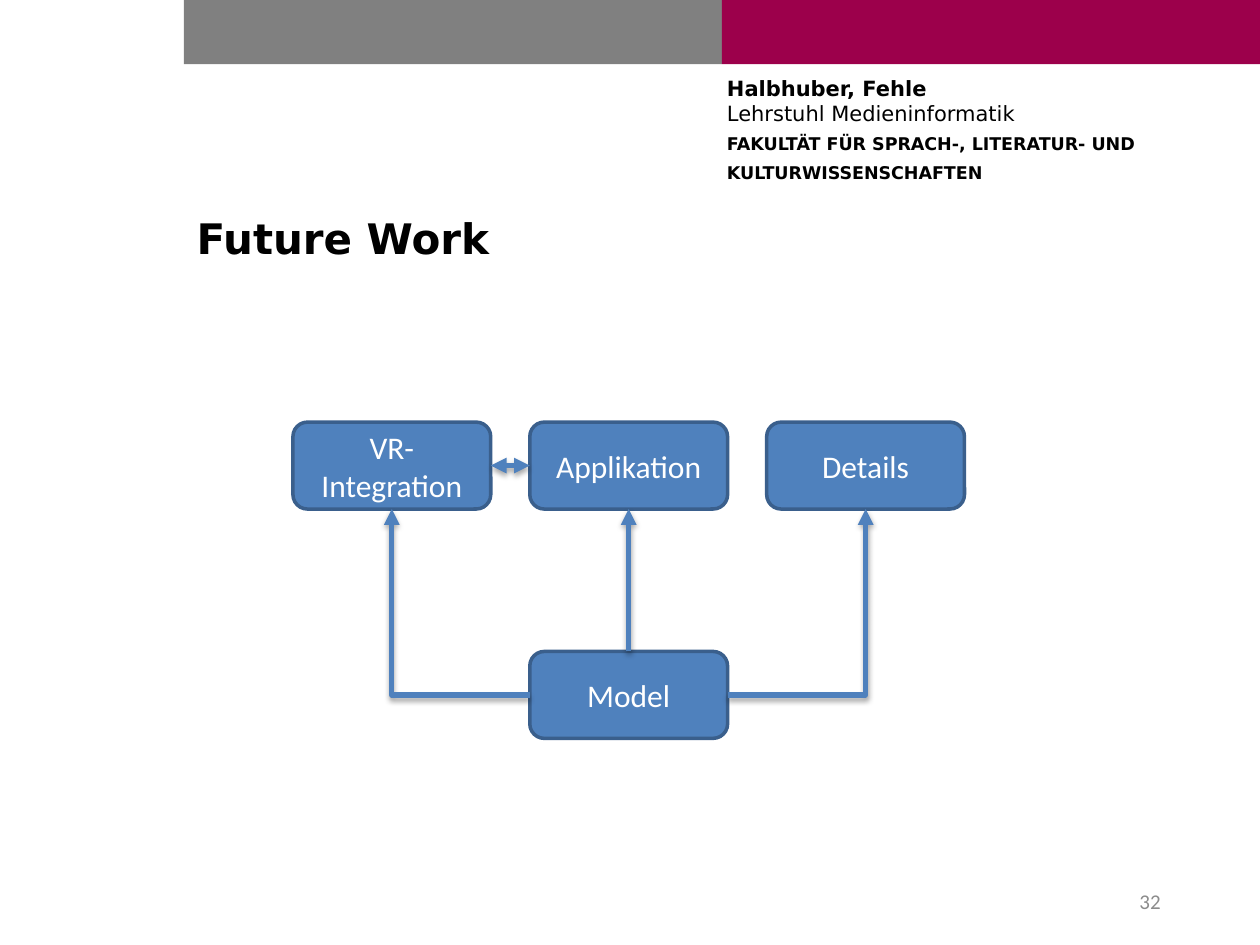
from dataclasses import dataclass

from lxml.etree import SubElement
from pptx import Presentation
from pptx.dml.color import RGBColor
from pptx.enum.shapes import MSO_CONNECTOR as Link, MSO_SHAPE as Shape
from pptx.enum.text import MSO_ANCHOR as Anchor, PP_ALIGN as Align
from pptx.oxml import parse_xml
from pptx.oxml.ns import nsdecls, qn
from pptx.util import Inches, Pt

COLUMNS, ROWS = 100, 75
TOP, LEFT, BOTTOM, RIGHT = range(4)  # connection sites of a box

SHADOW = f"""<a:effectLst {nsdecls('a')}>
<a:outerShdw blurRad="40000" dist="23000" dir="5400000" rotWithShape="0">
<a:srgbClr val="000000"><a:alpha val="35000"/></a:srgbClr>
</a:outerShdw></a:effectLst>"""


@dataclass(frozen=True)
class Theme:
    gray: str = "808080"
    crimson: str = "9C004B"
    blue: str = "4F81BD"
    outline: str = "3A5F8C"
    black: str = "000000"
    white: str = "FFFFFF"
    muted: str = "8C8C8C"
    heading_font: str = "DejaVu Sans"
    body_font: str = "Calibri"
    title_size: int = 24
    node_size: int = 18
    text_size: int = 12
    small_size: int = 10
    outline_width: int = 2
    arrow_width: int = 3


class SlideBuilder:
    """Draws on one page; lengths are columns and rows of the slide grid."""

    def __init__(self, theme):
        self.theme = theme
        self.deck = Presentation()
        self.deck.slide_width, self.deck.slide_height = Inches(10), Inches(7.5)
        self.page = self.deck.slides.add_slide(self.deck.slide_layouts[5])

    def place(self, left, top, width, height):
        column = self.deck.slide_width / COLUMNS
        row = self.deck.slide_height / ROWS
        return [round(length * unit) for length, unit in
                zip((left, top, width, height), (column, row) * 2)]

    def add_span(self, para, text, **style):
        span = para.add_run()
        span.text = text
        color = style.pop("color")
        style["size"] = Pt(style["size"])
        for name, value in style.items():
            setattr(span.font, name, value)
        span.font.color.rgb = RGBColor.from_string(color)

    def format_frame(self, frame, **values):
        for name, value in {"word_wrap": True, **values}.items():
            setattr(frame, name, value)

    def title(self, text, area):
        box = self.page.shapes.title
        box.left, box.top, box.width, box.height = self.place(*area)
        self.format_frame(box.text_frame, vertical_anchor=Anchor.TOP)
        para = box.text_frame.paragraphs[0]
        para.alignment = Align.LEFT
        self.add_span(para, text, name=self.theme.heading_font, bold=True,
                      size=self.theme.title_size, color=self.theme.black)

    def shape(self, kind, area, color):
        box = self.page.shapes.add_shape(kind, *self.place(*area))
        box.shadow.inherit = False
        box.fill.solid()
        box.fill.fore_color.rgb = RGBColor.from_string(color)
        box.line.fill.background()
        return box

    def sender(self, person, chair, faculty_lines, area):
        frame = self.page.shapes.add_textbox(*self.place(*area)).text_frame
        self.format_frame(frame, margin_left=0, margin_top=0,
                          margin_right=0, margin_bottom=0)
        style = {"name": self.theme.heading_font, "color": self.theme.black}
        para = frame.paragraphs[0]
        para.space_after = Pt(3)
        self.add_span(para, person, bold=True, size=self.theme.text_size, **style)
        para.add_line_break()
        self.add_span(para, chair, bold=False, size=self.theme.text_size, **style)
        for line in faculty_lines:
            para = frame.add_paragraph()
            para.space_after, para.line_spacing = Pt(3), 1.1
            self.add_span(para, line, bold=True, size=self.theme.small_size, **style)

    def page_number(self, number, area):
        frame = self.page.shapes.add_textbox(*self.place(*area)).text_frame
        self.format_frame(frame, vertical_anchor=Anchor.MIDDLE)
        para = frame.paragraphs[0]
        para.alignment = Align.RIGHT
        self.add_span(para, number, name=self.theme.body_font,
                      size=self.theme.text_size, color=self.theme.muted)

    def node(self, text, area):
        box = self.shape(Shape.ROUNDED_RECTANGLE, area, self.theme.blue)
        box.line.color.rgb = RGBColor.from_string(self.theme.outline)
        box.line.width = Pt(self.theme.outline_width)
        self.format_frame(box.text_frame, vertical_anchor=Anchor.MIDDLE)
        para = box.text_frame.paragraphs[0]
        para.alignment = Align.CENTER
        self.add_span(para, text, name=self.theme.body_font,
                      size=self.theme.node_size, color=self.theme.white)
        return box

    def arrow(self, source, source_site, target, target_site,
              bent=False, both_ends=False):
        """Join two nodes; a bent arrow turns one corner."""
        kind = Link.ELBOW if bent else Link.STRAIGHT
        connector = self.page.shapes.add_connector(kind, 0, 0, 0, 0)
        connector.begin_connect(source, source_site)
        connector.end_connect(target, target_site)
        connector.line.color.rgb = RGBColor.from_string(self.theme.blue)
        connector.line.width = Pt(self.theme.arrow_width)
        properties = connector._element.spPr
        if bent:
            properties.find(qn("a:prstGeom")).set("prst", "bentConnector2")
        line = properties.find(qn("a:ln"))
        for end in ("headEnd", "tailEnd") if both_ends else ("tailEnd",):
            SubElement(line, qn(f"a:{end}"), type="triangle")
        properties.append(parse_xml(SHADOW))


def main():
    theme = Theme()
    slide = SlideBuilder(theme)

    margin = 14.6
    bar_width = (COLUMNS - margin) / 2
    for index, color in enumerate((theme.gray, theme.crimson)):
        slide.shape(Shape.RECTANGLE,
                    (margin + index * bar_width, 0, bar_width, 5.1), color)
    slide.sender("Halbhuber, Fehle", "Lehrstuhl Medieninformatik",
                 ("FAKULTÄT FÜR SPRACH-, LITERATUR- UND", "KULTURWISSENSCHAFTEN"),
                 (57.7, 6, 40.4, 9.4))
    slide.title("Future Work", (margin, 16.4, 78.6, 7.6))
    slide.page_number("32", (70.6, 69.5, 22.5, 4))

    def cell(column, row):
        return 23.25 + 18.8 * column, 33.5 + 18.2 * row, 15.7, 6.9

    model = slide.node("Model", cell(1, 1))
    integration, application, details = (
        slide.node(name, cell(column, 0)) for column, name in
        enumerate(("VR-Integration", "Applikation", "Details")))

    slide.arrow(model, LEFT, integration, BOTTOM, bent=True)
    slide.arrow(model, TOP, application, BOTTOM)
    slide.arrow(model, RIGHT, details, BOTTOM, bent=True)
    slide.arrow(integration, RIGHT, application, LEFT, both_ends=True)

    slide.deck.save("out.pptx")


if __name__ == "__main__":
    main()
